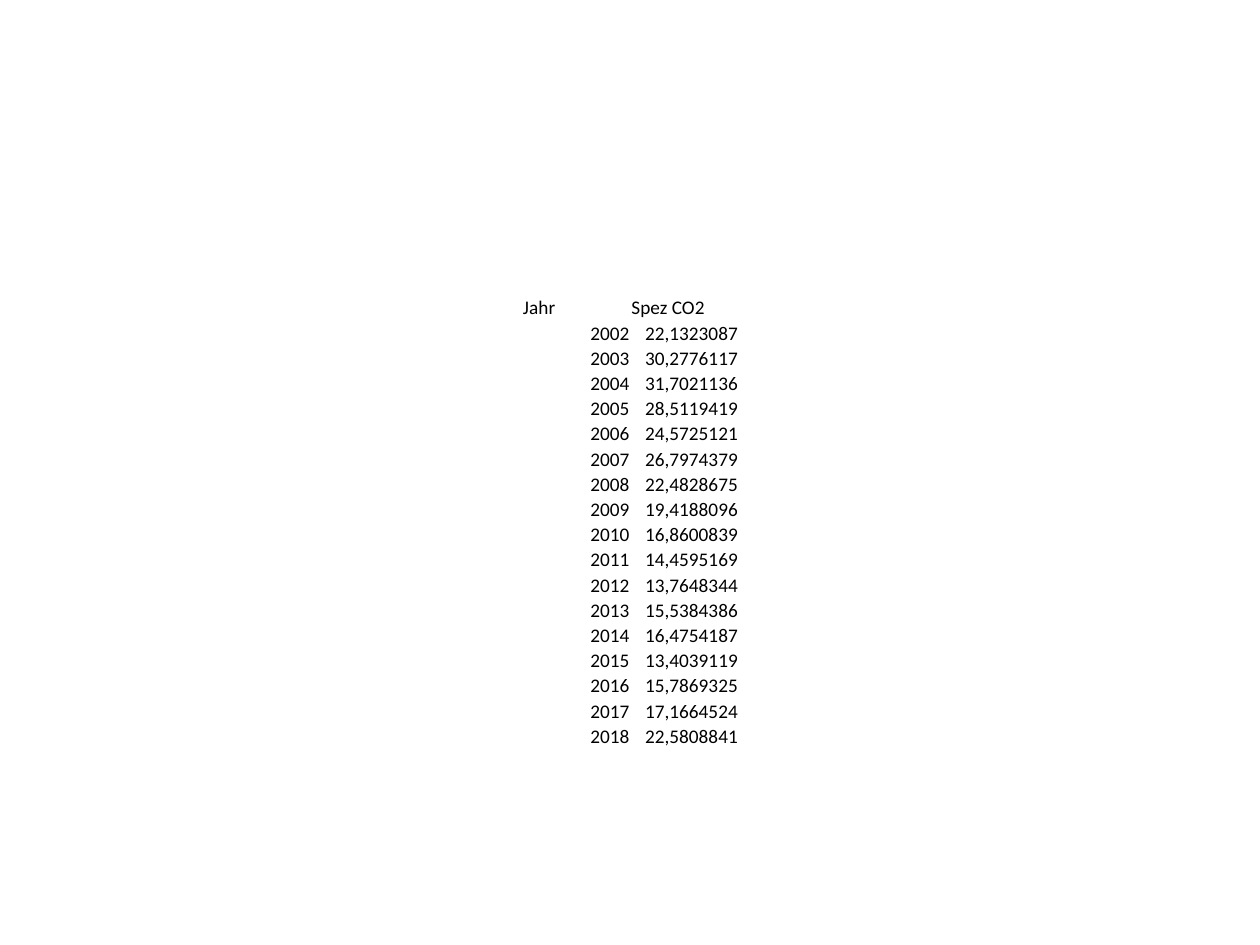
from pptx import Presentation
from pptx import util as u
from pptx.dml.color import RGBColor
from pptx.enum import text

SCALE = 914400 // 126
BLACK = RGBColor(0, 0, 0)
FONT = "Calibri"
HEADS = ("Jahr", "Spez CO2")
START = 2002
RATES = (
    "22,1323087", "30,2776117", "31,7021136", "28,5119419", "24,5725121",
    "26,7974379", "22,4828675", "19,4188096", "16,8600839", "14,4595169",
    "13,7648344", "15,5384386", "16,4754187", "13,4039119", "15,7869325",
    "17,1664524", "22,5808841",
)


def px(n):
    """Turn pixels into EMU."""
    return u.Emu(int(n * SCALE))


def write(frame, words, size=11, color=BLACK, align=text.PP_ALIGN.LEFT):
    """Put formatted text into a text frame."""
    para = frame.paragraphs[0]
    para.alignment = align
    run = para.add_run()
    run.text = words
    run.font.name = FONT
    run.font.size = u.Pt(size)
    run.font.color.rgb = color


def style(cell):
    """Clear the fill, set narrow margins and anchor at the bottom."""
    cell.fill.background()
    cell.vertical_anchor = text.MSO_ANCHOR.BOTTOM
    cell.margin_left = cell.margin_right = cell.margin_top = px(1)
    cell.margin_bottom = 0


def add_grid(slide, rows, left, top, width, height):
    """Add a plain table with equal rows and columns."""
    grid = slide.shapes.add_table(
        len(rows), len(rows[0]), px(left), px(top), px(width), px(height)
    ).table
    grid.first_row = grid.horz_banding = False
    for line in grid.rows:
        line.height = px(height / len(rows))
    for r, row in enumerate(rows):
        align = text.PP_ALIGN.RIGHT if r else text.PP_ALIGN.LEFT
        for c, words in enumerate(row):
            cell = grid.cell(r, c)
            style(cell)
            write(cell.text_frame, words, align=align)


def main():
    """Build the slide with yearly CO2 values."""
    deck = Presentation()
    deck.slide_width, deck.slide_height = px(1260), px(945)
    slide = deck.slides.add_slide(deck.slide_layouts[6])
    years = [(str(y), rate) for y, rate in enumerate(RATES, START)]
    add_grid(slide, [HEADS] + years, 522, 295, 217, 454)
    deck.save("out.pptx")


main()
